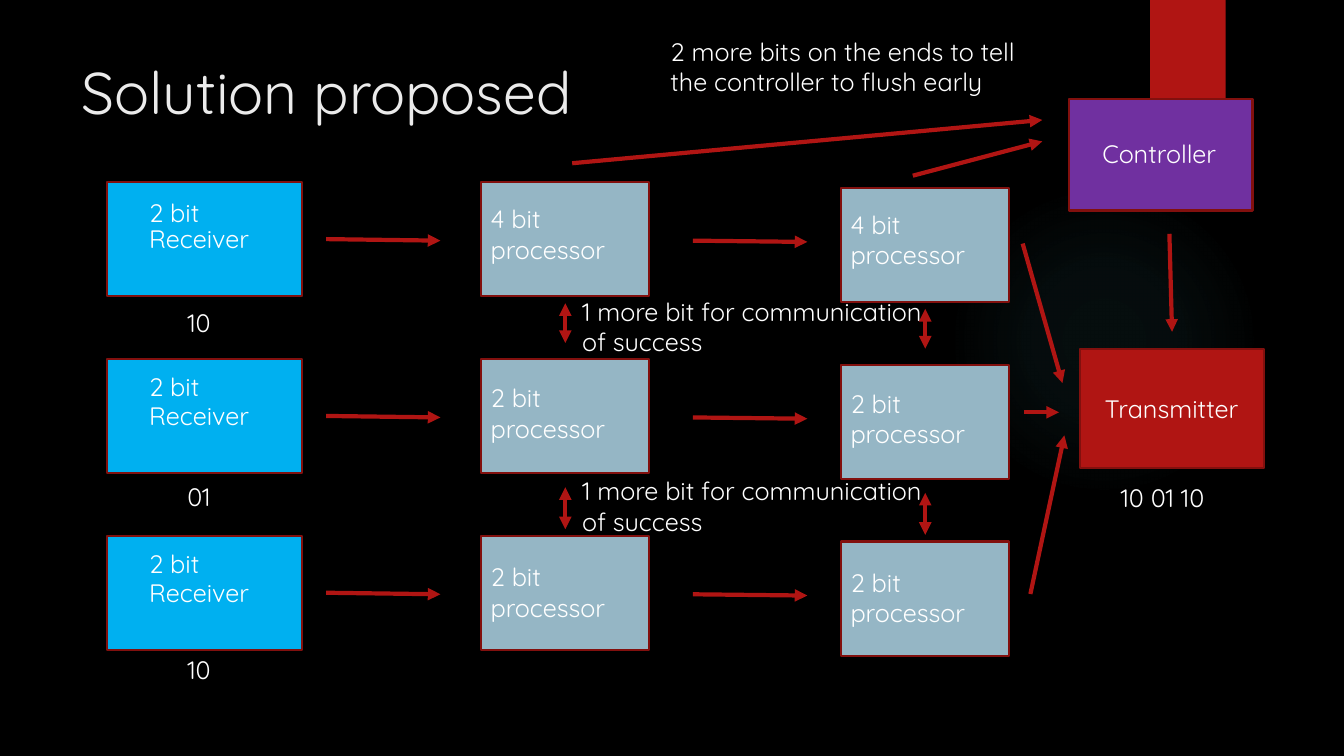
from lxml.etree import SubElement
from pptx import Presentation
from pptx.dml.color import RGBColor
from pptx.enum.shapes import MSO_CONNECTOR, MSO_SHAPE
from pptx.enum.text import MSO_ANCHOR, PP_ALIGN
from pptx.oxml.ns import qn
from pptx.util import Pt

BLACK = RGBColor(0x00, 0x00, 0x00)
WHITE = RGBColor(0xFF, 0xFF, 0xFF)
PALE = RGBColor(0xEB, 0xEB, 0xEB)
RED = RGBColor(0xB0, 0x15, 0x13)
DARK_RED = RGBColor(0x82, 0x10, 0x0E)
BLUE = RGBColor(0x00, 0xB0, 0xF0)
STEEL = RGBColor(0x95, 0xB6, 0xC5)
PURPLE = RGBColor(0x70, 0x30, 0xA0)
TEAL = RGBColor(0x50, 0xB9, 0xC1)

ROW_STEP = 126.3
COLUMN_DROP = 4


class Diagram:
    """Draws on one slide in one style; all lengths are points."""

    font = "Quicksand"

    def __init__(self, deck):
        self.page = deck.slides.add_slide(deck.slide_layouts[5])
        background = self.page.background.fill
        background.solid()
        background.fore_color.rgb = BLACK

    def fill_text(self, frame, text, size, color):
        frame.word_wrap = True
        frame.vertical_anchor = MSO_ANCHOR.TOP
        para = frame.paragraphs[0]
        para.alignment = PP_ALIGN.LEFT
        span = para.add_run()
        span.text = text
        span.font.name = self.font
        span.font.size = Pt(size)
        span.font.color.rgb = color

    def title(self, text, left, top, width, height):
        box = self.page.shapes.title
        box.left, box.top, box.width, box.height = map(Pt, (left, top, width, height))
        self.fill_text(box.text_frame, text, 42, PALE)

    def label(self, text, left, top, width, height=29):
        box = self.page.shapes.add_textbox(*map(Pt, (left, top, width, height)))
        self.fill_text(box.text_frame, text, 18, WHITE)

    def block(self, color, left, top, width, height, outlined=True):
        box = self.page.shapes.add_shape(
            MSO_SHAPE.RECTANGLE, *map(Pt, (left, top, width, height)))
        box.shadow.inherit = False
        box.fill.solid()
        box.fill.fore_color.rgb = color
        if outlined:
            box.line.color.rgb = DARK_RED
            box.line.width = Pt(1.5)
        else:
            box.line.fill.background()

    def glow(self, color, left, top, size, stops):
        disc = self.page.shapes.add_shape(
            MSO_SHAPE.OVAL, *map(Pt, (left, top, size, size)))
        disc.shadow.inherit = False
        disc.line.fill.background()
        disc.fill.gradient()
        gradient = disc._element.spPr.find(qn("a:gradFill"))
        for child in list(gradient):
            gradient.remove(child)
        stop_list = SubElement(gradient, qn("a:gsLst"))
        for position, opacity in stops:
            stop = SubElement(stop_list, qn("a:gs"), pos=str(position * 1000))
            tint = SubElement(stop, qn("a:srgbClr"), val=str(color))
            SubElement(tint, qn("a:alpha"), val=str(opacity * 1000))
        shade = SubElement(gradient, qn("a:path"))
        shade.set("path", "circle")
        SubElement(shade, qn("a:fillToRect"), l="50000", t="50000", r="50000", b="50000")

    def arrow(self, x1, y1, x2, y2, both_ends=False):
        line = self.page.shapes.add_connector(
            MSO_CONNECTOR.STRAIGHT, *map(Pt, (x1, y1, x2, y2)))
        line.line.color.rgb = RED
        line.line.width = Pt(3)
        stroke = line._element.spPr.find(qn("a:ln"))
        if both_ends:
            SubElement(stroke, qn("a:headEnd"), type="triangle")
        SubElement(stroke, qn("a:tailEnd"), type="triangle")
        SubElement(line._element.spPr, qn("a:effectLst"))


def main():
    deck = Presentation()
    deck.slide_width, deck.slide_height = Pt(960), Pt(540)
    diagram = Diagram(deck)

    # Backdrop and title
    diagram.glow(TEAL, 677.5, 131.8, 221.8, [(0, 7), (36, 6), (69, 0)])
    diagram.block(RED, 821.5, 0, 54, 90, outlined=False)
    diagram.title("Solution proposed", 51, 36, 741, 110)

    # Receivers with the bits they take in
    receivers = [("10", 137.5), ("01", 261.5), ("10", 388)]
    for row, (bits, size_top) in enumerate(receivers):
        drop = row * ROW_STEP
        diagram.block(BLUE, 76.3, 130.2 + drop, 139.7, 81.5)
        diagram.label("2 bit", 99.4, size_top, 96)
        diagram.label("Receiver", 99.4, 156.2 + drop, 134)
        diagram.label(bits, 126.7, 216 + row * 123.9, 39)
        diagram.arrow(233, 170.8 + drop, 314.6, 171.9 + drop)
        diagram.arrow(495, 171.9 + drop, 576.7, 172.8 + drop)

    # Two columns of processors, the second slightly lower
    for column, left in enumerate((343.4, 600.5)):
        shift = column * COLUMN_DROP
        for row, bit_count in enumerate((4, 2, 2)):
            diagram.block(STEEL, left, 130.2 + row * ROW_STEP + shift, 120.2, 81.5)
            diagram.label(f"{bit_count} bit processor", left,
                          142 + row * 127.8 + shift, 120.2, 51)
        for top, bottom in ((216.7, 245), (348, 378)):
            diagram.arrow(left + 60.4, top + shift, left + 60.4, bottom + shift,
                          both_ends=True)

    # Notes on the extra bits
    for top in (208, 336.2):
        diagram.label("1 more bit for communication of success", 408.7, top, 263.5, 51)
    diagram.label("2 more bits on the ends to tell the controller to flush early",
                  471.8, 22.3, 262, 73)

    # Controller and transmitter
    diagram.block(PURPLE, 763.7, 70.9, 131, 79.5)
    diagram.label("Controller", 780.3, 95.2, 109)
    diagram.block(RED, 771.5, 249.2, 131.3, 85)
    diagram.label("Transmitter", 782, 277.2, 110)
    diagram.label("10 01 10", 793.3, 341.1, 87)

    # Arrows into the controller and the transmitter
    for ends in (
        (408.7, 116.6, 744.5, 85.7),
        (652, 125.5, 744.5, 101),
        (835.3, 167, 837.2, 237),
        (730.5, 174, 758.9, 273.6),
        (731.5, 294.5, 756.5, 294.5),
        (736, 424.3, 760.3, 311),
    ):
        diagram.arrow(*ends)

    deck.save("out.pptx")


if __name__ == "__main__":
    main()
